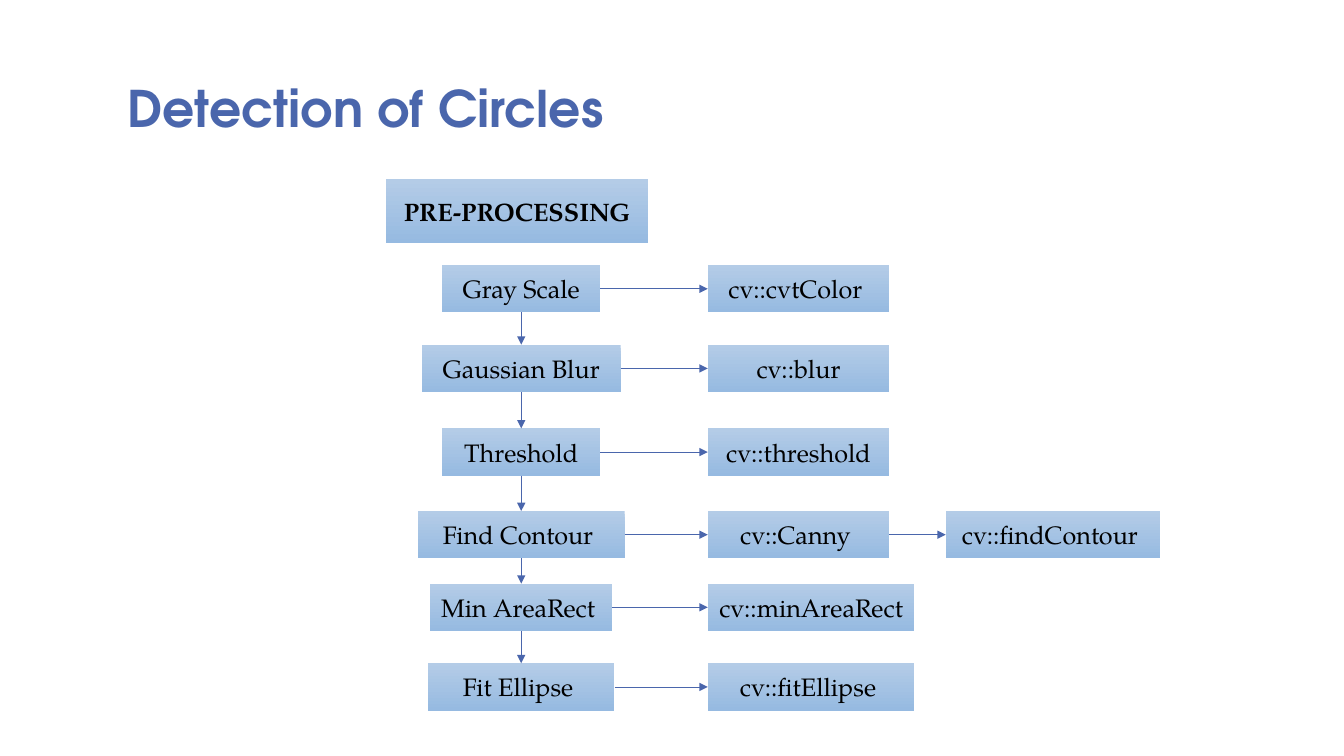
from lxml import etree
from pptx import Presentation
from pptx import util as u
from pptx.dml.color import RGBColor
from pptx.enum import shapes, text
from pptx.oxml.ns import qn

BLUE = RGBColor(0x4A, 0x66, 0xAC)
BOX_TOP_COLOR = RGBColor(0xB4, 0xCC, 0xE7)
BOX_BOTTOM_COLOR = RGBColor(0x96, 0xBA, 0xE1)
BLACK = RGBColor(0, 0, 0)

# Columns of the flow chart, in inches
STEP_CENTER = 5.17
CALL_LEFT = 7.02
SECOND_CALL_LEFT = 9.38
BOX_HEIGHT = 0.47
TOP, LEFT, BOTTOM, RIGHT = range(4)

TITLE_FONT = {"name": "TeX Gyre Adventor", "size": u.Pt(36), "bold": True}
HEADING_FONT = {"name": "TeX Gyre Pagella", "size": u.Pt(18), "bold": True}
BOX_FONT = {**HEADING_FONT, "bold": False}

# Row top, step and its width, then the calls as (text, left, width)
STEPS = [
    (2.63, "Gray Scale", 1.57, [("cv::cvtColor ", CALL_LEFT, 1.8)]),
    (3.42, "Gaussian Blur", 1.97, [("cv::blur", CALL_LEFT, 1.8)]),
    (4.25, "Threshold", 1.57, [("cv::threshold", CALL_LEFT, 1.8)]),
    (5.07, "Find Contour ", 2.05, [("cv::Canny ", CALL_LEFT, 1.8),
                                   ("cv::findContour ", SECOND_CALL_LEFT, 2.13)]),
    (5.79, "Min AreaRect ", 1.81, [("cv::minAreaRect ", CALL_LEFT, 2.05)]),
    (6.58, "Fit Ellipse ", 1.85, [("cv::fitEllipse ", CALL_LEFT, 2.05)]),
]

presentation = Presentation()
presentation.slide_width = u.Inches(13.33)
presentation.slide_height = u.Inches(7.5)
slide = presentation.slides.add_slide(presentation.slide_layouts[5])


def add_box(words, left, top, width, height=BOX_HEIGHT, font=BOX_FONT):
    box = slide.shapes.add_shape(
        shapes.MSO_SHAPE.RECTANGLE, *map(u.Inches, (left, top, width, height)))
    box.shadow.inherit = False
    box.line.fill.background()
    box.fill.gradient()
    box.fill.gradient_angle = 270
    for stop, color in zip(box.fill.gradient_stops, (BOX_TOP_COLOR, BOX_BOTTOM_COLOR)):
        stop.color.rgb = color
    box.text_frame.vertical_anchor = text.MSO_ANCHOR.MIDDLE
    paragraph = box.text_frame.paragraphs[0]
    paragraph.alignment = text.PP_ALIGN.CENTER
    run = paragraph.add_run()
    run.text = words
    run.font.color.rgb = BLACK
    for name, value in font.items():
        setattr(run.font, name, value)
    return box


def add_arrow(start, start_side, end, end_side):
    arrow = slide.shapes.add_connector(shapes.MSO_CONNECTOR.STRAIGHT, 0, 0, 0, 0)
    arrow.begin_connect(start, start_side)
    arrow.end_connect(end, end_side)
    arrow.line.color.rgb = BLUE
    arrow.line.width = u.Pt(0.5)
    etree.SubElement(arrow.line._get_or_add_ln(), qn("a:tailEnd"), type="triangle")
    etree.SubElement(arrow._element.spPr, qn("a:effectLst"))


title = slide.shapes.title
title.left, title.top, title.width, title.height = map(u.Inches, (1.16, 0.58, 9.5, 0.83))
title.text_frame.text = "Detection of Circles"
title.text_frame.auto_size = text.MSO_AUTO_SIZE.NONE
title.text_frame.vertical_anchor = text.MSO_ANCHOR.BOTTOM
title_paragraph = title.text_frame.paragraphs[0]
title_paragraph.alignment = text.PP_ALIGN.LEFT
title_paragraph.line_spacing = 0.8
title_font = title_paragraph.runs[0].font
title_font.color.rgb = BLUE
for name, value in TITLE_FONT.items():
    setattr(title_font, name, value)

add_box("PRE-PROCESSING", 3.83, 1.78, 2.6, 0.63, HEADING_FONT)

previous_step = None
for top, step_name, step_width, calls in STEPS:
    step = add_box(step_name, STEP_CENTER - step_width / 2, top, step_width)
    if previous_step is not None:
        add_arrow(previous_step, BOTTOM, step, TOP)
    previous_step = step

    source = step
    for call_name, call_left, call_width in calls:
        call = add_box(call_name, call_left, top, call_width)
        add_arrow(source, RIGHT, call, LEFT)
        source = call

presentation.save("out.pptx")
